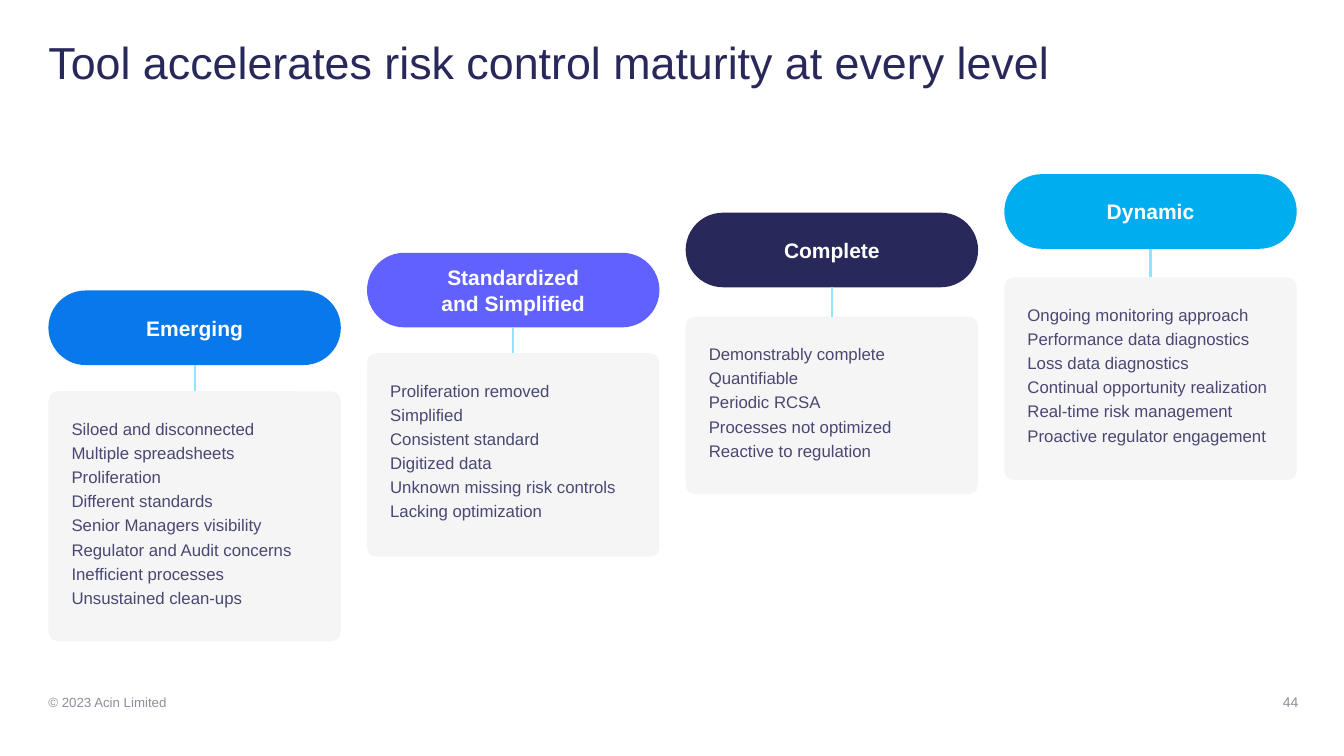
from lxml.etree import SubElement
from pptx import Presentation
from pptx.dml.color import RGBColor
from pptx.enum.shapes import MSO_CONNECTOR, MSO_SHAPE
from pptx.enum.text import MSO_ANCHOR, MSO_AUTO_SIZE, PP_ALIGN
from pptx.oxml.ns import qn
from pptx.util import Cm, Pt

FONT = "Arial"
NAVY, WHITE, PANEL_FILL = "28285A", "FFFFFF", "F5F5F5"
LIST_TEXT, FOOTER_TEXT, LINK = "484873", "8E8E9B", "93E2FF"

# Column grid, in centimetres
LEFT, COLUMN_STEP, COLUMN_WIDTH = 1.22, 8.03, 7.37
PILL_HEIGHT, PANEL_RADIUS = 1.88, 0.25

# Label, colour, pill top, panel top, panel height, list
STAGES = [
    ("Emerging", "0978EB", 7.32, 9.86, 6.3,
     ["Siloed and disconnected", "Multiple spreadsheets", "Proliferation",
      "Different standards", "Senior Managers visibility",
      "Regulator and Audit concerns", "Inefficient processes",
      "Unsustained clean-ups"]),
    ("Standardized\nand Simplified", "6161FF", 6.37, 8.9, 5.13,
     ["Proliferation removed", "Simplified", "Consistent standard",
      "Digitized data", "Unknown missing risk controls",
      "Lacking optimization"]),
    ("Complete", NAVY, 5.36, 7.98, 4.47,
     ["Demonstrably complete", "Quantifiable", "Periodic RCSA",
      "Processes not optimized", "Reactive to regulation"]),
    ("Dynamic", "00AEEF", 4.39, 6.99, 5.11,
     ["Ongoing monitoring approach", "Performance data diagnostics",
      "Loss data diagnostics", "Continual opportunity realization",
      "Real-time risk management", "Proactive regulator engagement"]),
]


def color(value):
    return RGBColor.from_string(value)


def write(shape, text, size, text_color, align=PP_ALIGN.LEFT, bold=False,
          spacing=1.0, anchor=MSO_ANCHOR.MIDDLE, insets=(0, 0, 0, 0)):
    """Fill a shape with text; insets are left, top, right, bottom in cm."""
    frame = shape.text_frame
    frame.text = text
    frame.word_wrap = True
    frame.auto_size = MSO_AUTO_SIZE.NONE
    frame.vertical_anchor = anchor
    (frame.margin_left, frame.margin_top,
     frame.margin_right, frame.margin_bottom) = map(Cm, insets)
    for paragraph in frame.paragraphs:
        paragraph.alignment = align
        paragraph.line_spacing = spacing
        for run in paragraph.runs:
            run.font.name = FONT
            run.font.size = Pt(size)
            run.font.bold = bold
            run.font.color.rgb = color(text_color)


def add_title(slide, text):
    title = slide.shapes.title
    title.left, title.top = Cm(LEFT), Cm(1.02)
    title.width, title.height = Cm(26.16), Cm(1.22)
    write(title, text, 32, NAVY, spacing=0.9, anchor=MSO_ANCHOR.TOP)


def add_footer(slide, text, left, width, size, align):
    box = slide.shapes.add_textbox(Cm(left), Cm(17.42), Cm(width), Cm(0.56))
    write(box, text, size, FOOTER_TEXT, align)


def add_rounded(slide, left, top, height, radius, fill):
    shape = slide.shapes.add_shape(
        MSO_SHAPE.ROUNDED_RECTANGLE,
        Cm(left), Cm(top), Cm(COLUMN_WIDTH), Cm(height))
    shape.adjustments[0] = radius / height
    shape.shadow.inherit = False
    shape.fill.solid()
    shape.fill.fore_color.rgb = color(fill)
    shape.line.fill.background()
    return shape


def add_link(slide, x, top, bottom):
    link = slide.shapes.add_connector(
        MSO_CONNECTOR.STRAIGHT, Cm(x), Cm(top), Cm(x), Cm(bottom))
    link.line.color.rgb = color(LINK)
    link.line.width = Pt(1.5)
    SubElement(link._element.spPr, qn("a:effectLst"))


def add_stage(slide, left, label, fill, pill_top, panel_top, panel_height, items):
    pill = add_rounded(slide, left, pill_top, PILL_HEIGHT, PILL_HEIGHT / 2, fill)
    write(pill, label, 15, WHITE, PP_ALIGN.CENTER, bold=True,
          insets=(0.25, 0.13, 0.25, 0.13))
    panel = add_rounded(slide, left, panel_top, panel_height, PANEL_RADIUS, PANEL_FILL)
    write(panel, "\n".join(items), 12, LIST_TEXT, spacing=1.2,
          anchor=MSO_ANCHOR.TOP, insets=(0.51, 0.51, 0.25, 0.13))
    add_link(slide, left + COLUMN_WIDTH / 2, pill_top + PILL_HEIGHT, panel_top)


def main():
    presentation = Presentation()
    presentation.slide_width, presentation.slide_height = Cm(33.87), Cm(19.05)
    slide = presentation.slides.add_slide(presentation.slide_layouts[5])

    # Title and footer
    add_title(slide, "Tool accelerates risk control maturity at every level")
    add_footer(slide, "© 2023 Acin Limited", LEFT, 11.86, 9.5, PP_ALIGN.LEFT)
    add_footer(slide, "44", 31.27, 1.45, 10, PP_ALIGN.RIGHT)

    # Rising maturity stages
    for index, stage in enumerate(STAGES):
        add_stage(slide, LEFT + index * COLUMN_STEP, *stage)

    presentation.save("out.pptx")


if __name__ == "__main__":
    main()
